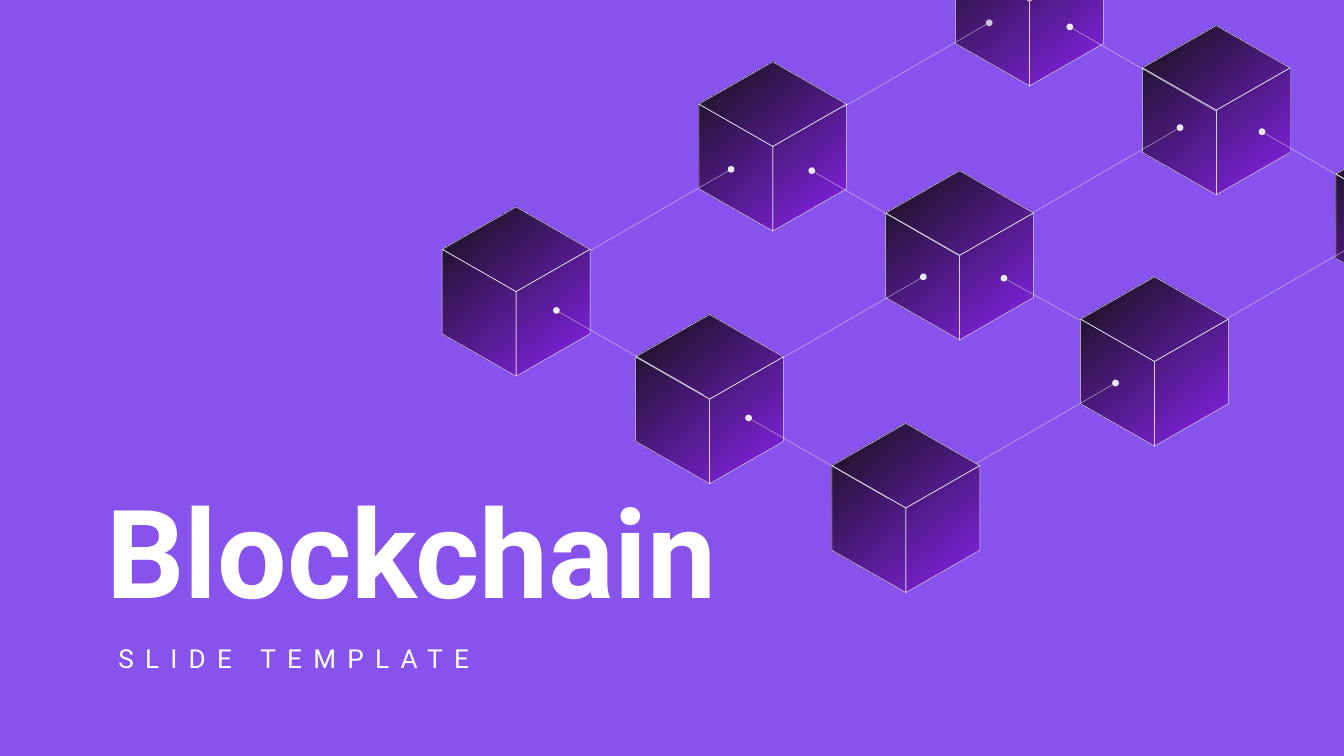
"""Build the Blockchain title slide with a network of linked cubes."""
from lxml import etree
from pptx import Presentation
from pptx.dml.color import RGBColor
from pptx.enum.shapes import MSO_CONNECTOR, MSO_SHAPE
from pptx.enum.text import MSO_ANCHOR
from pptx.oxml.ns import qn
from pptx.util import Inches, Pt

OVAL = MSO_SHAPE.OVAL
STRAIGHT = MSO_CONNECTOR.STRAIGHT
TOP, BOTTOM = MSO_ANCHOR.TOP, MSO_ANCHOR.BOTTOM

COLORS = {
    "background": "8853ED",
    "cube_light": "8823ED",
    "cube_dark": "131115",
    "edge": "EAE9F4",
    "muted_dot": "CAC7D8",
    "text": "FFFFFF",
}
SLIDE_WIDTH = 10
SLIDE_HEIGHT = SLIDE_WIDTH * 9 / 16
HALF_WIDTH, CUBE_HEIGHT = 0.55, 1.26
SIDE = CUBE_HEIGHT / 2
RISE = SIDE / 2
DOT_SIZE = 0.05


def color(name):
    return RGBColor.from_string(COLORS[name])


def add_polygon(page, points):
    corners = [(Inches(x), Inches(y)) for x, y in points]
    builder = page.shapes.build_freeform(*corners[0])
    builder.add_line_segments(corners[1:], close=True)
    polygon = builder.convert_to_shape()
    polygon.shadow.inherit = False
    return polygon


deck = Presentation()
deck.slide_width = Inches(SLIDE_WIDTH)
deck.slide_height = Inches(SLIDE_HEIGHT)
page = deck.slides.add_slide(deck.slide_layouts[6])
page.background.fill.solid()
page.background.fill.fore_color.rgb = color("background")

cube_tops = [
    (3.84, 1.54), (5.28, 2.34), (6.74, 3.15),
    (5.75, 0.46), (7.14, 1.27), (8.59, 2.06),
    (7.66, -0.62), (9.05, 0.19), (10.49, 0.98),
]
for x, y in cube_tops:
    left, right = x - HALF_WIDTH, x + HALF_WIDTH
    shoulder = y + RISE
    hip = shoulder + SIDE
    top, center, foot = (x, y), (x, shoulder + RISE), (x, hip + RISE)
    upper_left, upper_right = (left, shoulder), (right, shoulder)
    lower_left, lower_right = (left, hip), (right, hip)

    cube = add_polygon(page, [top, upper_left, lower_left, foot, lower_right, upper_right])
    cube.fill.gradient()
    cube.fill.gradient_angle = 130
    for stop, name in zip(cube.fill.gradient_stops, ("cube_light", "cube_dark")):
        stop.color.rgb = color(name)
    cube.line.fill.background()

    faces = [
        [foot, lower_left, upper_left, center],
        [upper_right, center, upper_left, top],
    ]
    if x < SLIDE_WIDTH:
        faces.append([foot, lower_right, upper_right, center])
    for corners in faces:
        face = add_polygon(page, corners)
        face.fill.background()
        face.line.color.rgb = color("edge")
        face.line.width = Pt(0.25)

links = [
    ((10.22, 1.74), (9.13, 2.37), None),
    ((8.3, 2.85), (7.26, 3.45), "edge"),
    ((8.78, 0.95), (7.69, 1.58), "edge"),
    ((6.87, 2.06), (5.83, 2.66), "edge"),
    ((4.14, 2.31), (5.24, 2.94), "edge"),
    ((5.57, 3.11), (6.61, 3.71), "edge"),
    ((6.04, 1.27), (7.13, 1.9), "edge"),
    ((7.47, 2.07), (8.03, 2.38), "edge"),
    ((7.96, 0.2), (9.05, 0.83), "edge"),
    ((9.39, 0.98), (10.43, 1.58), "edge"),
    ((7.36, 0.17), (6.27, 0.8), "muted_dot"),
    ((5.44, 1.26), (4.4, 1.86), "edge"),
]
for start, end, dot_color in links:
    link = page.shapes.add_connector(STRAIGHT, *[Inches(value) for value in start + end])
    link.line.color.rgb = color("edge")
    link.line.width = Pt(0.13)
    etree.SubElement(link._element.spPr, qn("a:effectLst"))
    if dot_color:
        dot_left, dot_top = [Inches(value - DOT_SIZE / 2) for value in start]
        dot = page.shapes.add_shape(OVAL, dot_left, dot_top, Inches(DOT_SIZE), Inches(DOT_SIZE))
        dot.shadow.inherit = False
        dot.fill.solid()
        dot.fill.fore_color.rgb = color(dot_color)
        dot.line.fill.background()

texts = [
    ("Blockchain", (0.79, 3.23, 5.29, 1.41), 66, True, BOTTOM, 0),
    ("SLIDE TEMPLATE", (0.88, 4.78, 5.79, 0.28), 14, False, TOP, 6),
]
for words, place, size, bold, anchor, spacing in texts:
    box = page.shapes.add_textbox(*[Inches(value) for value in place])
    frame = box.text_frame
    frame.word_wrap = True
    frame.vertical_anchor = anchor
    frame.margin_left = frame.margin_right = frame.margin_top = frame.margin_bottom = 0
    span = frame.paragraphs[0].add_run()
    span.text = words
    span.font.name = "Roboto"
    span.font.size = Pt(size)
    span.font.bold = bold
    span.font.color.rgb = color("text")
    if spacing:
        span._r.get_or_add_rPr().set("spc", str(spacing * 100))

deck.save("out.pptx")
